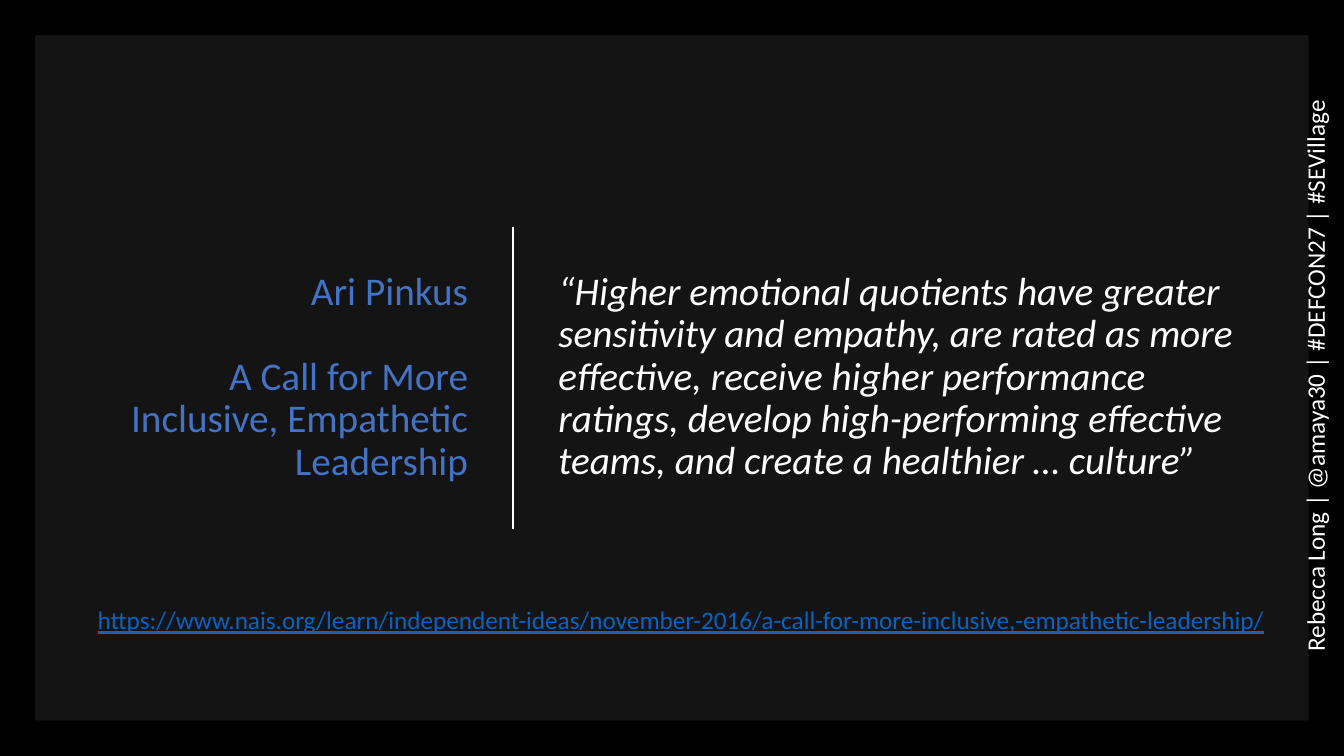
import pptx
import pptx.util
import pptx.dml.color
import pptx.enum.shapes
import pptx.enum.text
import pptx.oxml
import pptx.oxml.ns
import lxml.etree

Inches = pptx.util.Inches
Point = pptx.util.Pt
Align = pptx.enum.text.PP_ALIGN
Anchor = pptx.enum.text.MSO_ANCHOR

BLACK = pptx.dml.color.RGBColor(0x00, 0x00, 0x00)
WHITE = pptx.dml.color.RGBColor(0xFF, 0xFF, 0xFF)
BLUE = pptx.dml.color.RGBColor(0x44, 0x72, 0xC4)
LINK_BLUE = pptx.dml.color.RGBColor(0x05, 0x63, 0xC1)

WIDTH, HEIGHT = 13.33, 7.5
MARGIN = 0.35


def add_text(page, bounds, paragraphs, color=WHITE, size=28, align=Align.LEFT,
             anchor=Anchor.MIDDLE, line_spacing=None, gap=0,
             italic=None, underline=None, rotation=0):
    box = page.shapes.add_textbox(*map(Inches, bounds))
    box.rotation = rotation
    frame = box.text_frame
    frame.word_wrap = True
    frame.vertical_anchor = anchor
    for index, text in enumerate(paragraphs):
        para = frame.paragraphs[0] if index == 0 else frame.add_paragraph()
        para.alignment = align
        para.line_spacing = line_spacing
        if index:
            para.space_before = Point(gap)
        span = para.add_run()
        span.text = text
        span.font.name = "Calibri"
        span.font.size = Point(size)
        span.font.color.rgb = color
        span.font.italic = italic
        span.font.underline = underline
    return box


def add_panel(page, bounds):
    panel = page.shapes.add_shape(
        pptx.enum.shapes.MSO_SHAPE.RECTANGLE, *map(Inches, bounds))
    panel.shadow.inherit = False
    panel.line.fill.background()
    panel.fill.solid()
    panel.fill.fore_color.rgb = WHITE
    tint = panel.fill._xPr.find(".//" + pptx.oxml.ns.qn("a:srgbClr"))
    lxml.etree.SubElement(tint, pptx.oxml.ns.qn("a:alpha"), val="8000")


def add_divider(page, x, top, bottom):
    divider = page.shapes.add_connector(
        pptx.enum.shapes.MSO_CONNECTOR.STRAIGHT,
        Inches(x), Inches(top), Inches(x), Inches(bottom))
    divider.line.color.rgb = WHITE
    divider.line.width = Point(1.5)
    lxml.etree.SubElement(divider._element.spPr, pptx.oxml.ns.qn("a:effectLst"))


def add_quote(page, bounds):
    left, top, width, height = bounds
    source_width, quote_width = 3.82, 6.97
    divider_x = left + source_width + MARGIN
    add_text(page, (left, top, source_width, height),
             ["Ari Pinkus", "A Call for More Inclusive, Empathetic Leadership"],
             color=BLUE, align=Align.RIGHT, line_spacing=0.9, gap=30.5)
    add_divider(page, divider_x, HEIGHT * 0.3, HEIGHT * 0.7)
    add_text(page, (left + width - quote_width, top, quote_width, height),
             ["“Higher emotional quotients have greater sensitivity and empathy, "
              "are rated as more effective, receive higher performance ratings, "
              "develop high-performing effective teams, and create a healthier "
              "… culture”"],
             line_spacing=0.9, italic=True)


def add_link(page, bounds):
    add_text(page, bounds,
             ["https://www.nais.org/learn/independent-ideas/november-2016/"
              "a-call-for-more-inclusive,-empathetic-leadership/"],
             color=LINK_BLUE, size=18, align=Align.CENTER,
             anchor=Anchor.TOP, underline=True)


def add_side_label(page, center_x, center_y, length, depth):
    add_text(page, (center_x - length / 2, center_y - depth / 2, length, depth),
             ["Rebecca Long | @amaya30 | #DEFCON27 | #SEVillage"],
             size=18, align=Align.CENTER, rotation=270)


def build_quote_slide(deck):
    page = deck.slides.add_slide(deck.slide_layouts[6])
    page.background.fill.solid()
    page.background.fill.fore_color.rgb = BLACK
    add_panel(page, (MARGIN, MARGIN, WIDTH - 2 * MARGIN, HEIGHT - 2 * MARGIN))
    add_quote(page, (0.92, 1.05, 11.49, 5.39))
    add_link(page, (0.68, 5.95, 12.15, 0.4))
    add_side_label(page, 13.04, 3.73, HEIGHT, 0.48)


def main():
    deck = pptx.Presentation()
    deck.slide_width = Inches(WIDTH)
    deck.slide_height = Inches(HEIGHT)
    build_quote_slide(deck)
    deck.save("out.pptx")


if __name__ == "__main__":
    main()
